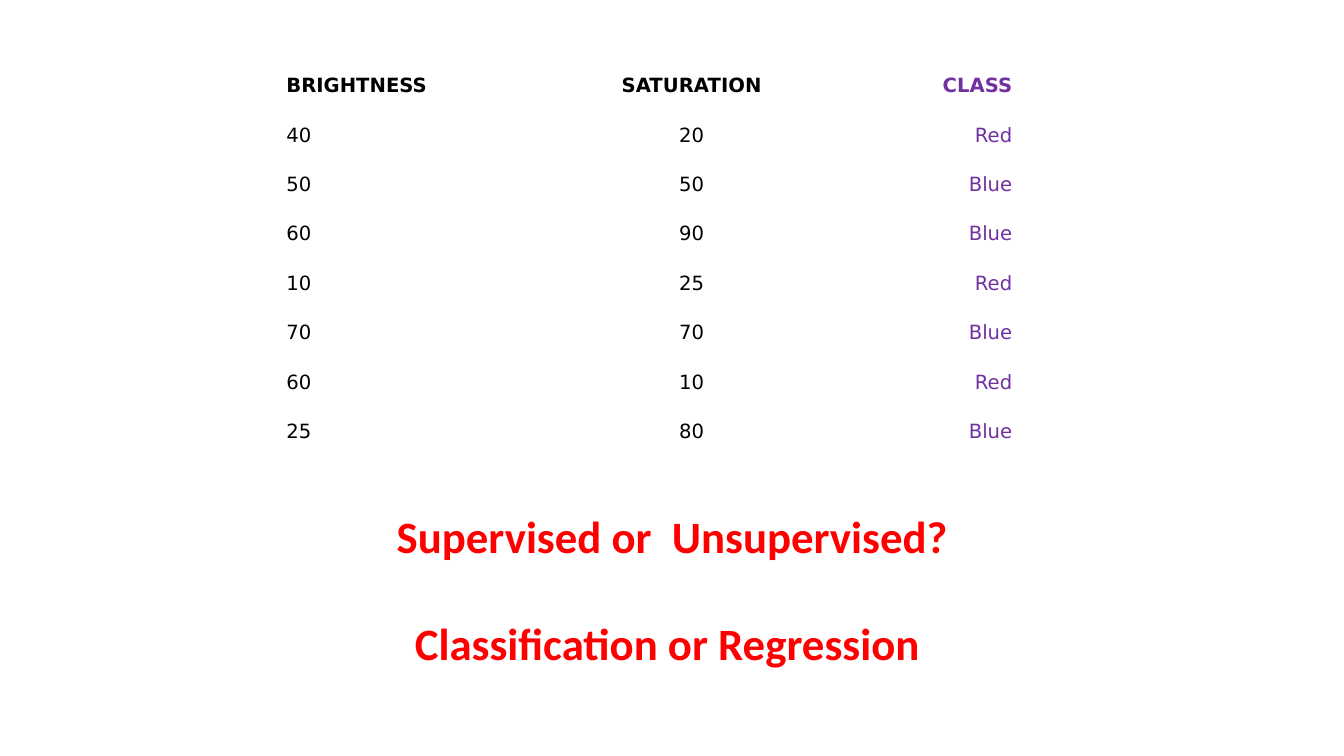
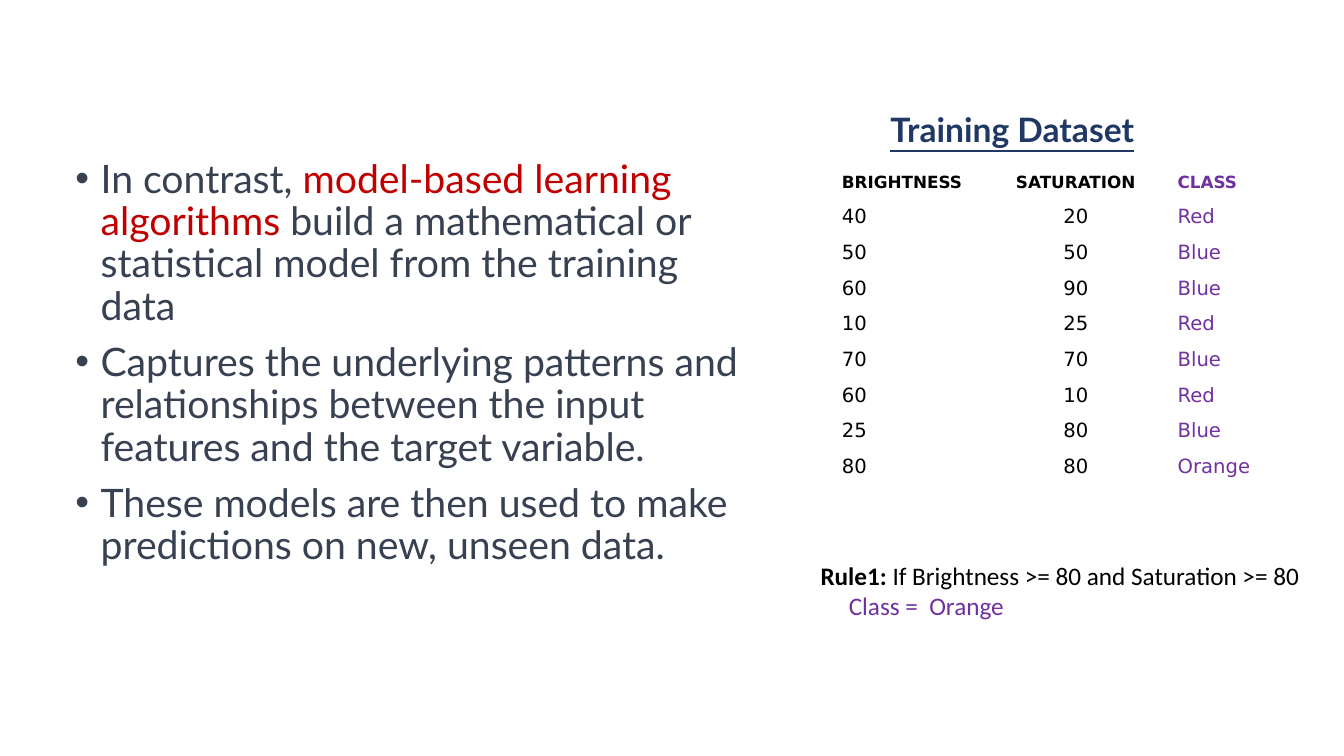
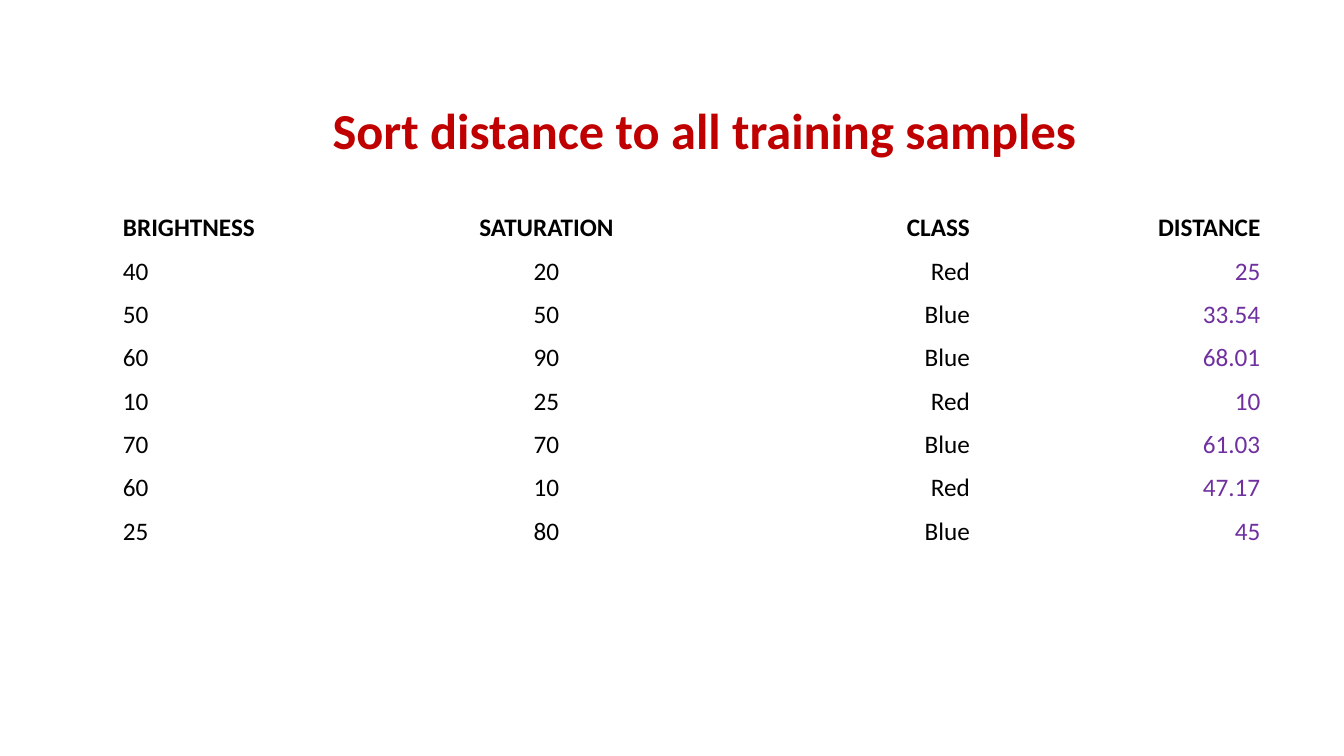
"""Builds three slides on supervised learning with brightness and saturation samples."""
from dataclasses import dataclass
from typing import Optional

from lxml import etree
from pptx import Presentation
from pptx.dml.color import RGBColor
from pptx.enum import text
from pptx.oxml import ns
from pptx.util import Inches, Pt

BLACK = RGBColor(0x00, 0x00, 0x00)
PURPLE = RGBColor(0x70, 0x30, 0xA0)
RED = RGBColor(0xFF, 0x00, 0x00)
DARK_RED = RGBColor(0xC0, 0x00, 0x00)
NAVY = RGBColor(0x20, 0x38, 0x64)
SLATE = RGBColor(0x37, 0x41, 0x51)

LEFT, CENTER, RIGHT = text.PP_ALIGN.LEFT, text.PP_ALIGN.CENTER, text.PP_ALIGN.RIGHT

HEADER = ("BRIGHTNESS", "SATURATION", "CLASS")
SAMPLES = (
    ("40", "20", "Red"),
    ("50", "50", "Blue"),
    ("60", "90", "Blue"),
    ("10", "25", "Red"),
    ("70", "70", "Blue"),
    ("60", "10", "Red"),
    ("25", "80", "Blue"),
)
DISTANCES = ("25", "33.54", "68.01", "10", "61.03", "47.17", "45")


@dataclass(frozen=True)
class Span:
    """A stretch of text in one style."""
    words: str
    color: RGBColor
    bold: bool = False
    underline: bool = False


@dataclass(frozen=True)
class Para:
    """A paragraph with its spacing and indent."""
    spans: tuple[Span, ...]
    align: text.PP_ALIGN = LEFT
    before: float = 0
    line: Optional[float] = None
    indent: float = 0
    bullet: bool = False


@dataclass(frozen=True)
class TextBox:
    """A block of paragraphs in one font and size."""
    left: float
    top: float
    width: float
    height: float
    font: str
    size: float
    paras: tuple[Para, ...]
    wrap: bool = True


@dataclass(frozen=True)
class Column:
    """A table column."""
    width: float
    align: text.PP_ALIGN
    color: RGBColor = BLACK


@dataclass(frozen=True)
class DataTable:
    """A borderless table whose first row is a bold header."""
    left: float
    top: float
    columns: tuple[Column, ...]
    rows: tuple[tuple[str, ...], ...]
    header_height: float
    body_height: float
    font: str
    header_size: float
    body_size: float


def add_span(paragraph, span: Span, font: str, size: float) -> None:
    """Append a formatted run to a paragraph."""
    run = paragraph.add_run()
    run.text = span.words
    run.font.name, run.font.size = font, Pt(size)
    run.font.bold, run.font.underline = span.bold, span.underline
    run.font.color.rgb = span.color


def format_para(paragraph, para: Para) -> None:
    """Apply alignment, spacing, indent and bullet."""
    paragraph.alignment = para.align
    paragraph.space_before = Pt(para.before)
    if para.line:
        paragraph.line_spacing = para.line
    properties = paragraph._p.get_or_add_pPr()
    properties.set("marL", str(Inches(para.indent)))
    if para.bullet:
        properties.set("indent", str(-Inches(para.indent)))
        font = etree.SubElement(properties, ns.qn("a:buFont"))
        font.set("typeface", "Arial")
        etree.SubElement(properties, ns.qn("a:buChar")).set("char", "•")


def add_text(page, block: TextBox) -> None:
    """Draw a text box."""
    box = page.shapes.add_textbox(Inches(block.left), Inches(block.top),
                                  Inches(block.width), Inches(block.height))
    frame = box.text_frame
    frame.word_wrap = block.wrap
    for index, para in enumerate(block.paras):
        paragraph = frame.add_paragraph() if index else frame.paragraphs[0]
        format_para(paragraph, para)
        for span in para.spans:
            add_span(paragraph, span, block.font, block.size)


def add_data_table(page, data: DataTable) -> None:
    """Draw a table without fills."""
    width = sum(column.width for column in data.columns)
    table = page.shapes.add_table(
        len(data.rows), len(data.columns), Inches(data.left), Inches(data.top),
        Inches(width), Inches(data.header_height + data.body_height)).table
    table.first_row = table.horz_banding = False
    for index, column in enumerate(data.columns):
        table.columns[index].width = Inches(column.width)
    for number, values in enumerate(data.rows):
        is_header = number == 0
        height = data.header_height if is_header else data.body_height / (len(data.rows) - 1)
        size = data.header_size if is_header else data.body_size
        table.rows[number].height = Inches(height)
        for index, (column, value) in enumerate(zip(data.columns, values)):
            cell = table.cell(number, index)
            cell.fill.background()
            cell.margin_left = cell.margin_right = Inches(0.12)
            cell.margin_top = cell.margin_bottom = Inches(0.06)
            paragraph = cell.text_frame.paragraphs[0]
            paragraph.alignment = column.align
            add_span(paragraph, Span(value, column.color, is_header), data.font, size)


def bullet(*spans: Span) -> Para:
    """Return a bulleted body paragraph."""
    return Para(spans, before=10, line=0.9, indent=0.25, bullet=True)


def build_question(page) -> None:
    """Build the slide that asks for the kind of learning."""
    add_data_table(page, DataTable(
        2.72, 0.68,
        (Column(2.67, LEFT), Column(2.94, CENTER), Column(1.83, RIGHT, PURPLE)),
        (HEADER, *SAMPLES), 0.49, 3.43, "DejaVu Sans", 14, 14))
    add_text(page, TextBox(3.43, 5, 6.48, 2.32, "Calibri", 32, (
        Para((Span("Supervised or  Unsupervised?", RED, True),), CENTER),
        Para((Span("Classification or Regression ", RED, True),), CENTER, before=38))))


def build_model_based(page) -> None:
    """Build the slide on model-based learning."""
    add_text(page, TextBox(0.65, 1.53, 6.96, 4.74, "Lato", 28, (
        bullet(Span("In contrast, ", SLATE),
               Span("model-based learning algorithms ", DARK_RED),
               Span("build a mathematical or statistical model from the training data", SLATE)),
        bullet(Span("Captures the underlying patterns and relationships between the input "
                    "features and the target variable.", SLATE)),
        bullet(Span("These models are then used to make predictions on new, unseen data.",
                    SLATE)))))
    add_data_table(page, DataTable(
        8.23, 1.66,
        (Column(1.55, LEFT), Column(1.78, CENTER), Column(1.71, LEFT, PURPLE)),
        (HEADER, *SAMPLES, ("80", "80", "Orange")), 0.32, 2.82, "DejaVu Sans", 12, 14))
    add_text(page, TextBox(8.48, 1.03, 3.12, 0.5, "Lato", 24, (
        Para((Span("Training Dataset", NAVY, True, True),), CENTER),)))
    add_text(page, TextBox(8.04, 5.51, 5.23, 0.71, "Calibri", 18, (
        Para((Span("Rule1: ", BLACK, True),
              Span("If Brightness >= 80 and Saturation >= 80", BLACK))),
        Para((Span("Class =  Orange", PURPLE),), indent=0.28))))


def build_distances(page) -> None:
    """Build the slide that lists distances to the samples."""
    rows = ((*HEADER, "DISTANCE"),
            *((*sample, distance) for sample, distance in zip(SAMPLES, DISTANCES)))
    add_data_table(page, DataTable(
        1.1, 2.05,
        (Column(2.88, LEFT), Column(2.88, CENTER), Column(2.88, RIGHT),
         Column(2.88, RIGHT, PURPLE)),
        rows, 0.43, 3.01, "Calibri", 18, 18))
    table = page.shapes[0].table
    table.cell(0, 3).text_frame.paragraphs[0].runs[0].font.color.rgb = BLACK
    add_text(page, TextBox(3.16, 0.93, 7.66, 0.71, "Calibri", 36, (
        Para((Span("Sort distance to all training samples", DARK_RED, True),), CENTER),),
        wrap=False))


def main() -> None:
    """Build and save the deck."""
    deck = Presentation()
    deck.slide_width, deck.slide_height = Inches(13.33), Inches(7.5)
    for build in (build_question, build_model_based, build_distances):
        build(deck.slides.add_slide(deck.slide_layouts[6]))
    deck.save("out.pptx")


if __name__ == "__main__":
    main()
